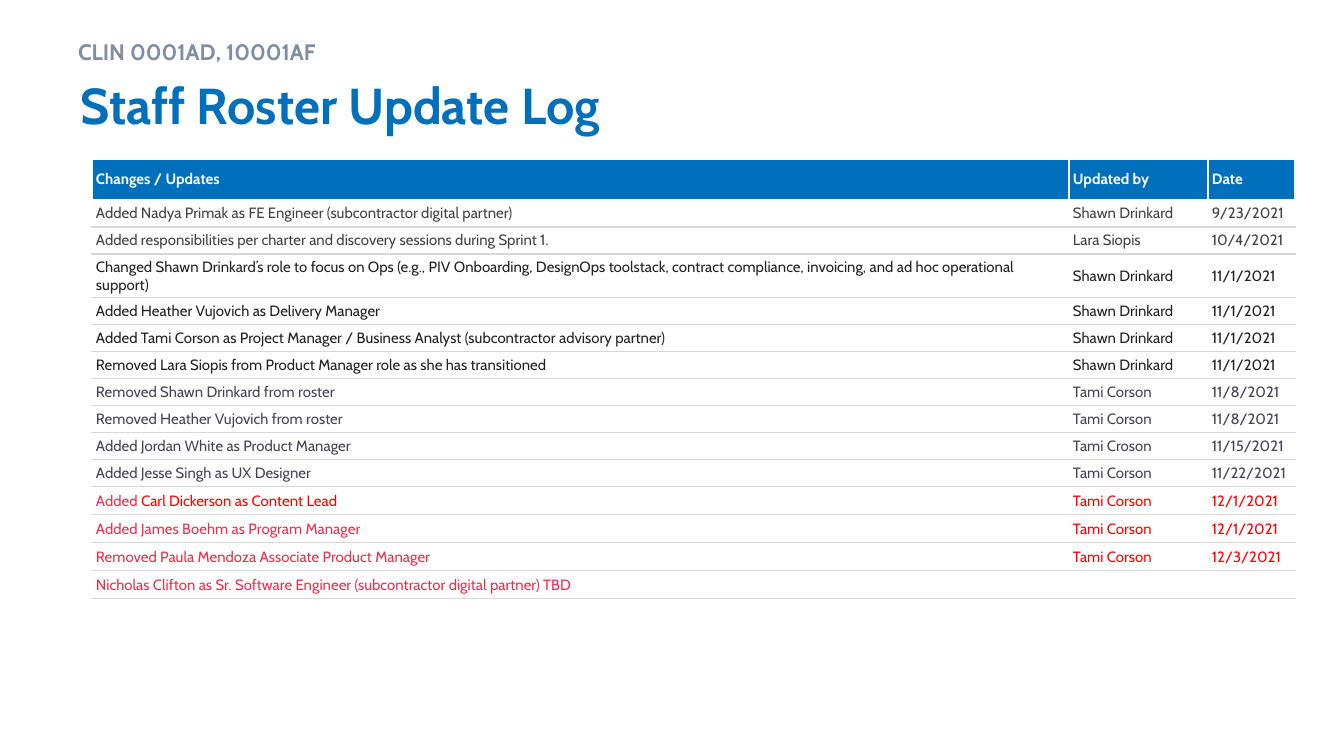
from lxml.etree import SubElement
from pptx import Presentation
from pptx.dml.color import RGBColor
from pptx.enum.text import MSO_ANCHOR as Anchor, PP_ALIGN as Align
from pptx.oxml.ns import qn
from pptx.util import Emu, Pt

EMU_PER_PX = 914400 / 134.4
FONT = "Cabin"
WHITE, BLUE, SLATE, RULE = "FFFFFF", "0070BC", "7F8EA3", "D8D8D8"
GRAY, BLACK, INK, ROSE, RED = "434343", "222222", "454454", "E9304D", "FF0000"

COLUMN_WIDTHS = [977, 139, 87]
HEADER_HEIGHT, ROW_HEIGHT, WRAPPED_HEIGHT, RECENT_HEIGHT = 41, 27, 44, 28
HEADINGS = ["Changes / Updates", "Updated by", "Date"]

# Each entry: change, updated by, date, colour of the change, colour of the rest
LOG = [
    ("Added Nadya Primak as FE Engineer (subcontractor digital partner)",
     "Shawn Drinkard", "9/23/2021", GRAY, GRAY),
    ("Added responsibilities per charter and discovery sessions during Sprint 1.",
     "Lara Siopis", "10/4/2021", GRAY, GRAY),
    ("Changed Shawn Drinkard’s role to focus on Ops (e.g., PIV Onboarding, DesignOps "
     "toolstack, contract compliance, invoicing, and ad hoc operational support)",
     "Shawn Drinkard", "11/1/2021", BLACK, BLACK),
    ("Added Heather Vujovich as Delivery Manager",
     "Shawn Drinkard", "11/1/2021", BLACK, BLACK),
    ("Added Tami Corson as Project Manager / Business Analyst "
     "(subcontractor advisory partner)",
     "Shawn Drinkard", "11/1/2021", BLACK, BLACK),
    ("Removed Lara Siopis from Product Manager role as she has transitioned",
     "Shawn Drinkard", "11/1/2021", BLACK, BLACK),
    ("Removed Shawn Drinkard from roster", "Tami Corson", "11/8/2021", INK, INK),
    ("Removed Heather Vujovich from roster", "Tami Corson", "11/8/2021", INK, INK),
    ("Added Jordan White as Product Manager", "Tami Croson", "11/15/2021", INK, INK),
    ("Added Jesse Singh as UX Designer", "Tami Corson", "11/22/2021", INK, INK),
    ([("Added", ROSE), (" Carl Dickerson as Content Lead", RED)],
     "Tami Corson", "12/1/2021", ROSE, RED),
    ("Added James Boehm as Program Manager", "Tami Corson", "12/1/2021", ROSE, RED),
    ("Removed Paula Mendoza Associate Product Manager",
     "Tami Corson", "12/3/2021", ROSE, RED),
    ("Nicholas Clifton as Sr. Software Engineer (subcontractor digital partner) TBD",
     "", "", ROSE, RED),
]


def px(length):
    return Emu(round(length * EMU_PER_PX))


def rgb(color):
    return RGBColor.from_string(color)


def add_run(paragraph, text, size, color, bold=False):
    run = paragraph.add_run()
    run.text = text
    run.font.name = FONT
    run.font.size = Pt(size)
    run.font.bold = bold
    run.font.color.rgb = rgb(color)


def add_title(slide, text):
    title = slide.shapes.title
    title.left, title.top, title.width, title.height = px(67), px(65), px(1210), px(79)
    title.text_frame.vertical_anchor = Anchor.MIDDLE
    paragraph = title.text_frame.paragraphs[0]
    paragraph.alignment = Align.LEFT
    add_run(paragraph, text, 27, BLUE, bold=True)


def add_contract_line(slide, text):
    contract_line = slide.shapes.add_textbox(px(65), px(26), px(1210), px(39))
    contract_line.text_frame.word_wrap = True
    paragraph = contract_line.text_frame.paragraphs[0]
    paragraph.line_spacing = 1.2
    add_run(paragraph, text, 12, SLATE, bold=True)


def set_borders(cell, top, bottom):
    properties = cell._tc.get_or_add_tcPr()
    sides = {"a:lnL": WHITE, "a:lnR": WHITE, "a:lnT": top, "a:lnB": bottom}
    for side, color in sides.items():
        line = SubElement(properties, qn(side), w=str(Pt(0.75)))
        SubElement(SubElement(line, qn("a:solidFill")), qn("a:srgbClr"), val=color)


def fill_cell(cell, runs, top, bottom, fill=None, bold=False):
    cell.vertical_anchor = Anchor.MIDDLE
    cell.margin_left = cell.margin_right = px(4)
    cell.margin_top = cell.margin_bottom = px(4)
    set_borders(cell, top, bottom)
    if fill:
        cell.fill.solid()
        cell.fill.fore_color.rgb = rgb(fill)
    else:
        cell.fill.background()
    paragraph = cell.text_frame.paragraphs[0]
    for text, color in runs:
        add_run(paragraph, text, 8, color, bold)
    if not runs:  # keeps the empty cell as low as the others
        SubElement(paragraph._p, qn("a:endParaRPr"), sz="800")


def row_heights():
    heights = [HEADER_HEIGHT] + [ROW_HEIGHT] * 10 + [RECENT_HEIGHT] * 4
    heights[3] = WRAPPED_HEIGHT
    return heights


def add_log_table(slide):
    heights = row_heights()
    table = slide.shapes.add_table(
        len(heights), len(COLUMN_WIDTHS), px(92), px(159),
        px(sum(COLUMN_WIDTHS)), px(sum(heights))).table
    table.first_row = table.horz_banding = False
    for column, width in zip(table.columns, COLUMN_WIDTHS):
        column.width = px(width)
    for row, height in zip(table.rows, heights):
        row.height = px(height)

    # Header row
    for column, heading in enumerate(HEADINGS):
        fill_cell(table.cell(0, column), [(heading, WHITE)], WHITE, WHITE, BLUE, bold=True)

    # Log entries
    for row, (change, editor, date, change_color, detail_color) in enumerate(LOG, 1):
        top = WHITE if row == 1 else RULE
        texts = [(change, change_color), (editor, detail_color), (date, detail_color)]
        for column, (text, color) in enumerate(texts):
            if isinstance(text, list):
                runs = text
            else:
                runs = [(text, color)] if text else []
            fill_cell(table.cell(row, column), runs, top, RULE)


def main():
    deck = Presentation()
    deck.slide_width, deck.slide_height = px(1344), px(756)
    slide = deck.slides.add_slide(deck.slide_layouts[5])
    add_title(slide, "Staff Roster Update Log")
    add_contract_line(slide, "CLIN 0001AD, 10001AF")
    add_log_table(slide)
    deck.save("out.pptx")


if __name__ == "__main__":
    main()
